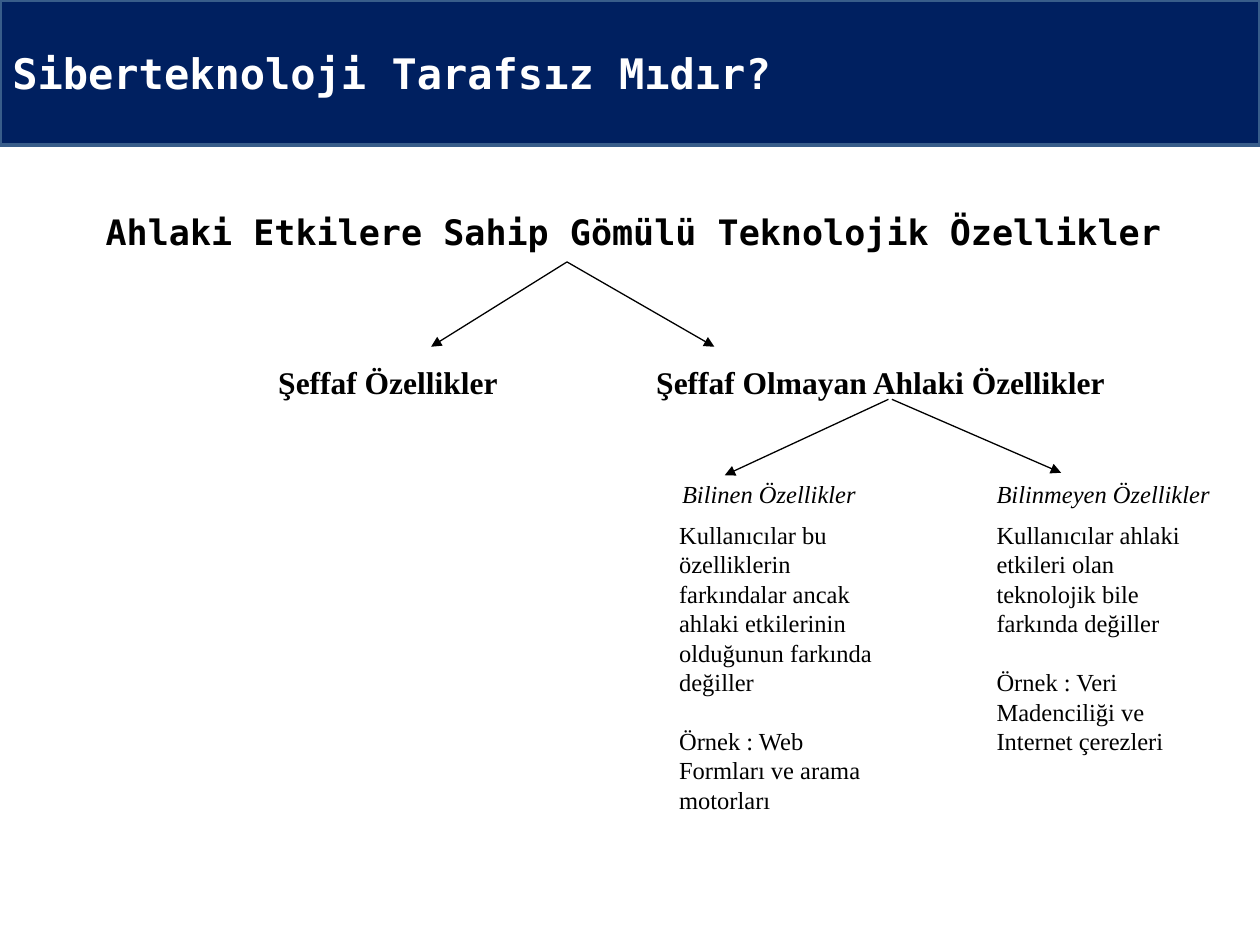
from lxml import etree
from pptx import Presentation
from pptx.dml.color import RGBColor
from pptx.enum.shapes import MSO_CONNECTOR, MSO_SHAPE
from pptx.enum.text import MSO_ANCHOR, PP_ALIGN
from pptx.oxml.ns import qn
from pptx.util import Cm, Pt

NAVY = RGBColor(0x00, 0x20, 0x60)
EDGE = RGBColor(0x38, 0x5D, 0x8A)
WHITE = RGBColor(0xFF, 0xFF, 0xFF)
BLACK = RGBColor(0x00, 0x00, 0x00)
RECT = MSO_SHAPE.RECTANGLE
LINE = MSO_CONNECTOR.STRAIGHT
LEFT, CENTER = PP_ALIGN.LEFT, PP_ALIGN.CENTER
TOP, MIDDLE = MSO_ANCHOR.TOP, MSO_ANCHOR.MIDDLE
MONO, SERIF = "DejaVu Sans Mono", "Times New Roman"

WIDTH, HEIGHT = 25.4, 19.05
BAR = (0, 0, WIDTH, 2.92)
GAP = Pt(16.8)  # one line of body text

STYLES = {
    "title": dict(name=MONO, size=Pt(24), bold=True),
    "head": dict(name=MONO, size=Pt(20), bold=True),
    "branch": dict(name=SERIF, size=Pt(18), bold=True),
    "leaf": dict(name=SERIF, size=Pt(14), italic=True),
    "body": dict(name=SERIF, size=Pt(14)),
}

TITLE = "Siberteknoloji Tarafsız Mıdır?"

# style, alignment, (left, top, width, height) in cm, paragraphs
TEXTS = [
    ("head", CENTER, (0.69, 4.11, 24.16, 2.01),
     ["Ahlaki Etkilere Sahip Gömülü Teknolojik Özellikler"]),
    ("branch", LEFT, (5.36, 7.19, 5.2, 1),
     ["Şeffaf Özellikler"]),
    ("branch", LEFT, (12.98, 7.19, 9.8, 1),
     ["Şeffaf Olmayan Ahlaki Özellikler"]),
    ("leaf", LEFT, (13.5, 9.53, 5.2, 0.86),
     ["Bilinen Özellikler"]),
    ("leaf", LEFT, (19.84, 9.53, 5.2, 0.86),
     ["Bilinmeyen Özellikler"]),
    ("body", LEFT, (13.44, 10.36, 4.65, 6.2),
     ["Kullanıcılar bu özelliklerin farkındalar ancak ahlaki etkilerinin "
      "olduğunun farkında değiller",
      "Örnek : Web Formları ve arama motorları"]),
    ("body", LEFT, (19.84, 10.36, 4.88, 5),
     ["Kullanıcılar ahlaki etkileri olan teknolojik bile farkında değiller",
      "Örnek : Veri Madenciliği ve Internet çerezleri"]),
]

# from x, y, to x, y in cm
ARROWS = [
    (11.43, 5.28, 8.69, 6.99),
    (11.43, 5.28, 14.4, 6.99),
    (17.91, 8.05, 14.61, 9.58),
    (17.98, 8.05, 21.39, 9.53),
]


def cm(nums):
    return [Cm(n) for n in nums]


def write(shape, paras, style, align=LEFT, anchor=TOP, color=BLACK):
    frame = shape.text_frame
    frame.word_wrap = True
    frame.vertical_anchor = anchor
    for i, text in enumerate(paras):
        para = frame.add_paragraph() if i else frame.paragraphs[0]
        para.alignment = align
        if i:
            para.space_before = GAP
        run = para.add_run()
        run.text = text
        for key, val in STYLES[style].items():
            setattr(run.font, key, val)
        run.font.color.rgb = color


def add_bar(slide):
    bar = slide.shapes.add_shape(RECT, *cm(BAR))
    bar.shadow.inherit = False
    bar.fill.solid()
    bar.fill.fore_color.rgb = NAVY
    bar.line.color.rgb = EDGE
    bar.line.width = Pt(2)
    write(bar, [TITLE], "title", anchor=MIDDLE, color=WHITE)


def add_arrow(slide, ends):
    arrow = slide.shapes.add_connector(LINE, *cm(ends))
    arrow.line.color.rgb = BLACK
    arrow.line.width = Pt(0.75)
    props = arrow.line._get_or_add_ln()
    etree.SubElement(props, qn("a:tailEnd"), type="triangle")
    etree.SubElement(arrow._element.spPr, qn("a:effectLst"))


def main():
    deck = Presentation()
    deck.slide_width, deck.slide_height = cm((WIDTH, HEIGHT))
    slide = deck.slides.add_slide(deck.slide_layouts[6])
    add_bar(slide)
    for style, align, box, paras in TEXTS:
        write(slide.shapes.add_textbox(*cm(box)), paras, style, align)
    for ends in ARROWS:
        add_arrow(slide, ends)
    deck.save("out.pptx")


if __name__ == "__main__":
    main()
